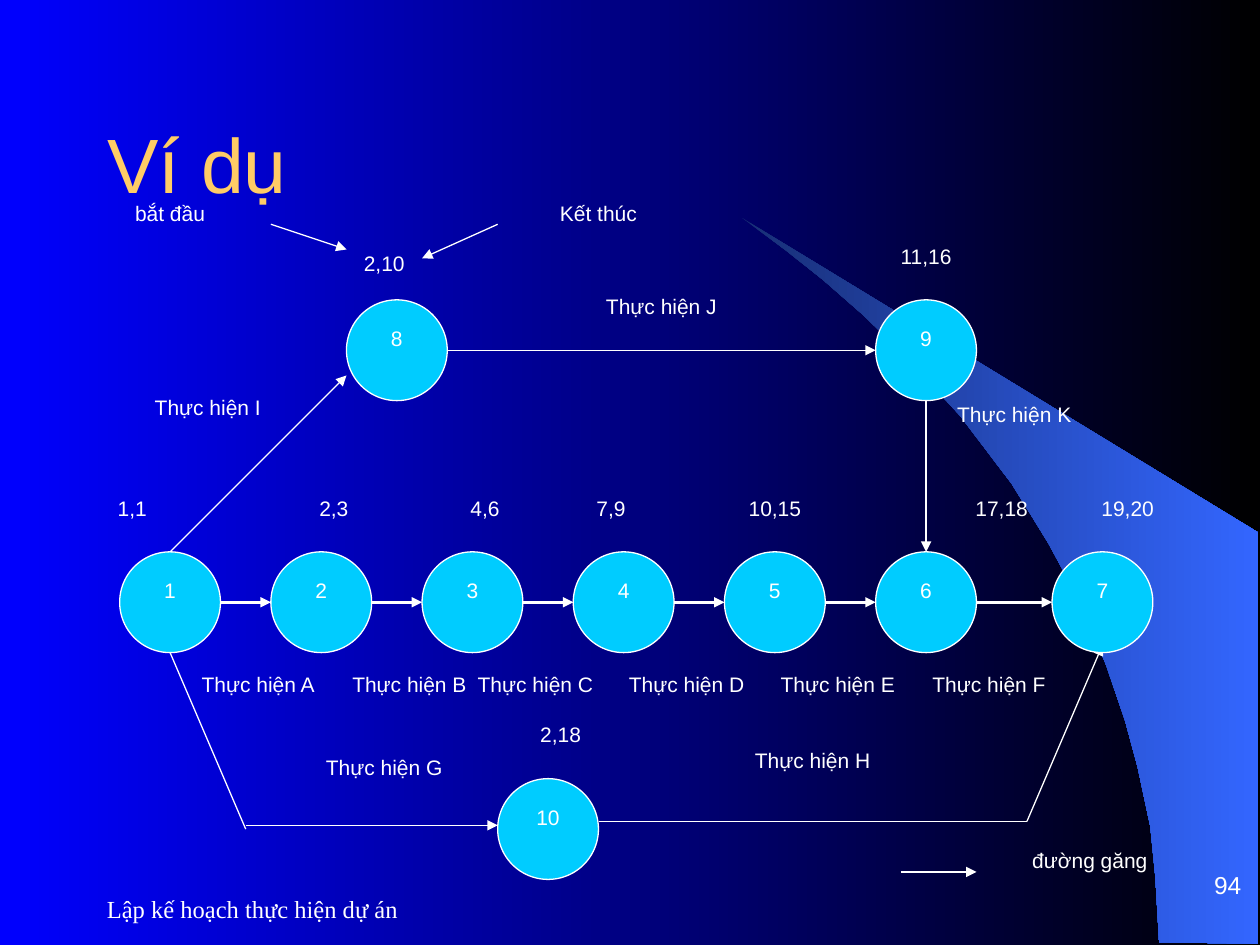
import itertools

import pptx
import pptx.dml.color
import pptx.enum.shapes
import pptx.enum.text
import pptx.oxml
import pptx.oxml.ns
import pptx.util
from pptx.util import Inches

RGB = pptx.dml.color.RGBColor
WHITE = RGB(0xFF, 0xFF, 0xFF)
GOLD = RGB(0xFF, 0xCC, 0x66)
CYAN = RGB(0x00, 0xCC, 0xFF)
BLUE = RGB(0x00, 0x00, 0xFF)
BLACK = RGB(0x00, 0x00, 0x00)
NAVY = RGB(0x18, 0x2F, 0x76)
SKY = RGB(0x33, 0x66, 0xFF)

ALIGN = pptx.enum.text.PP_ALIGN
ANCHOR = pptx.enum.text.MSO_ANCHOR
THIN, THICK = 0.75, 1.5
SIZE = 0.8

TIGHT = {"margin_left": Inches(0.02), "margin_right": Inches(0.02),
         "margin_top": Inches(0.01), "margin_bottom": Inches(0.01),
         "vertical_anchor": ANCHOR.TOP, "word_wrap": True}
ROUND = {**TIGHT, "margin_top": Inches(0.09)}
WIDE = {"margin_left": Inches(0.1), "margin_right": Inches(0.1),
        "margin_top": Inches(0.05), "margin_bottom": Inches(0.05),
        "vertical_anchor": ANCHOR.MIDDLE, "word_wrap": True}
LOW = {**WIDE, "margin_top": 0, "margin_bottom": 0, "vertical_anchor": ANCHOR.BOTTOM}

SMALL = {"name": "Arial", "size": pptx.util.Pt(12)}
NUMBER = {"name": "Arial", "size": pptx.util.Pt(14)}
SERIF = {"name": "Times New Roman", "size": pptx.util.Pt(14)}
LARGE = {"name": "Arial", "size": pptx.util.Pt(44)}

SWEEP = [(3.31, 5.75), (4.1, 5.76), (4.1, 2.5), (0, 0), (0.35, 0.26),
         (0.64, 0.49), (0.96, 0.77), (1.27, 1.07), (1.73, 1.57),
         (2.14, 2.11), (2.43, 2.58), (2.69, 3.06), (2.89, 3.55),
         (3.04, 3.99), (3.14, 4.36), (3.24, 4.83), (3.28, 5.23)]

ROW = [0.2 + 1.2 * i for i in range(6)] + [7.6]
ROW_TOP = 2.8
NODES = {str(i): (x, ROW_TOP) for i, x in enumerate(ROW, 1)}
NODES.update({"8": (2, 0.8), "9": (6.2, 0.8), "10": (3.2, 4.6)})

DATES = [("2,18", 3.4, 4.14, 0.6), ("11,16", 6.2, 0.34, 0.8), ("2,10", 2, 0.4, 0.6)]
DATES += [(text, x, 2.34, wide) for text, x, wide in (
    ("1,1", 0, 0.6), ("2,3", 1.6, 0.6), ("4,6", 2.8, 0.6), ("7,9", 3.8, 0.6),
    ("10,15", 5, 0.8), ("17,18", 6.8, 0.8), ("19,20", 7.8, 0.8))]
TASKS = list(zip("ABCDEF", (0.8, 2, 3, 4.2, 5.4, 6.6), itertools.repeat(3.74)))
TASKS += [("K", 6.8, 1.6), ("G", 1.8, 4.4), ("H", 5.2, 4.34),
          ("I", 0.4, 1.54), ("J", 4, 0.74)]
NOTES = [("bắt đầu", 0, 0, 1.2), ("Kết thúc", 3.4, 0, 1.2)]

LINKS = [((0.6, 3.6), (1.2, 5), False), ((1.2, 4.97), (3.2, 4.97), True),
         ((4, 4.94), (7.4, 4.94), False), ((2.8, 1.2), (6.2, 1.2), True),
         ((1.4, 0.2), (2, 0.4), True), ((3.2, 0.2), (2.6, 0.47), True)]


def style(frame, text, form, font, align=ALIGN.LEFT, tint=WHITE):
    """Write one paragraph and format its frame and font."""
    frame.text = text
    para = frame.paragraphs[0]
    para.alignment = align
    for part, values in ((frame, form), (para.font, font)):
        for name, value in values.items():
            setattr(part, name, value)
    para.font.color.rgb = tint


def label(slide, box, text, form=TIGHT, font=SMALL, align=ALIGN.CENTER):
    """Add a text box."""
    shape = slide.shapes.add_textbox(*map(Inches, box))
    style(shape.text_frame, text, form, font, align)


def link(slide, box, start, end, width=THIN, arrow=True):
    """Add a straight line between two points of the box and return it."""
    left, top = box[:2]
    points = (left + start[0], top + start[1], left + end[0], top + end[1])
    line = slide.shapes.add_connector(
        pptx.enum.shapes.MSO_CONNECTOR.STRAIGHT, *map(Inches, points))
    line.line.color.rgb = WHITE
    line.line.width = pptx.util.Pt(width)
    if arrow:
        stroke = line.line._get_or_add_ln()
        tail = pptx.oxml.parse_xml(
            '<a:tailEnd %s type="triangle"/>' % pptx.oxml.ns.nsdecls("a"))
        stroke.append(tail)
    line._element.spPr.append(pptx.oxml.parse_xml(
        "<a:effectLst %s/>" % pptx.oxml.ns.nsdecls("a")))
    return line


def blend(fill, first, last):
    """Give a fill a left to right gradient."""
    fill.gradient()
    fill.gradient_angle = 0
    for stop, tint, place in zip(fill.gradient_stops, (first, last), (0, 1)):
        stop.color.rgb = tint
        stop.position = place


def sweep(slide, box):
    """Draw the curved blue wedge at the right."""
    points = [(Inches(box[0] + x), Inches(box[1] + y)) for x, y in SWEEP]
    build = slide.shapes.build_freeform(*points[0])
    build.add_line_segments(points[1:], close=True)
    shape = build.convert_to_shape()
    shape.shadow.inherit = False
    shape.line.fill.background()
    blend(shape.fill, NAVY, SKY)


def head(slide, box):
    """Place the title."""
    title = slide.shapes.title
    for name, value in zip(("left", "top", "width", "height"), box):
        setattr(title, name, Inches(value))
    style(title.text_frame, "Ví dụ", WIDE, LARGE, tint=GOLD)


def node(slide, box, text):
    """Add a numbered circle and return it."""
    shape = slide.shapes.add_shape(
        pptx.enum.shapes.MSO_SHAPE.OVAL, *map(Inches, box))
    shape.shadow.inherit = False
    shape.fill.solid()
    shape.fill.fore_color.rgb = CYAN
    shape.line.color.rgb = WHITE
    shape.line.width = pptx.util.Pt(THIN)
    style(shape.text_frame, text, ROUND, SMALL, ALIGN.CENTER)
    return shape


def network(slide, box):
    """Draw the task network with its links, dates and names."""
    left, top = box[:2]
    link(slide, box, (7.4, 4.94), (8, 3.54))
    nodes = {text: node(slide, (left + x, top + y, SIZE, SIZE), text)
             for text, (x, y) in NODES.items()}
    middle = ROW_TOP + SIZE / 2
    for this, after in itertools.pairwise(ROW):
        link(slide, box, (this + SIZE, middle), (after, middle), THICK)
    for start, end, arrow in LINKS:
        link(slide, box, start, end, arrow=arrow)
    link(slide, box, (0.6, 2.8), (2, 1.4)).begin_connect(nodes["1"], 0)
    link(slide, box, (6.6, 1.6), (6.6, 2.8)).end_connect(nodes["6"], 0)
    tasks = [("Thực hiện " + name, x, y, 1) for name, x, y in TASKS]
    for text, x, y, wide in DATES + NOTES + tasks:
        label(slide, (left + x, top + y, wide, 0.4), text)


def legend(slide, box):
    """Explain the thick arrow."""
    left, top, wide, high = box
    link(slide, box, (0, 0.2), (0.6, 0.2), THICK)
    label(slide, (left + 0.8, top, wide - 0.8, high), "đường găng")


def foot(slide, box):
    """Place the footer text and the slide number."""
    left, top, wide, high = box
    label(slide, (left, top + 0.24, 4.67, 0.5), "Lập kế hoạch thực hiện dự án",
          WIDE, SERIF, ALIGN.LEFT)
    label(slide, (left + wide - 2.08, top, 2.08, 0.42), "94",
          LOW, NUMBER, ALIGN.RIGHT)


def main():
    """Build and save the slide."""
    deck = pptx.Presentation()
    deck.slide_width, deck.slide_height = Inches(10), Inches(7.5)
    slide = deck.slides.add_slide(deck.slide_layouts[5])
    blend(slide.background.fill, BLUE, BLACK)
    sweep(slide, (5.89, 1.73, 4.1, 5.76))
    foot(slide, (0.75, 6.72, 9.2, 0.74))
    head(slide, (0.75, 0.67, 8.84, 1.25))
    network(slide, (0.75, 1.58, 8.6, 5.4))
    legend(slide, (7.15, 6.72, 2.2, 0.6))
    deck.save("out.pptx")


if __name__ == "__main__":
    main()
